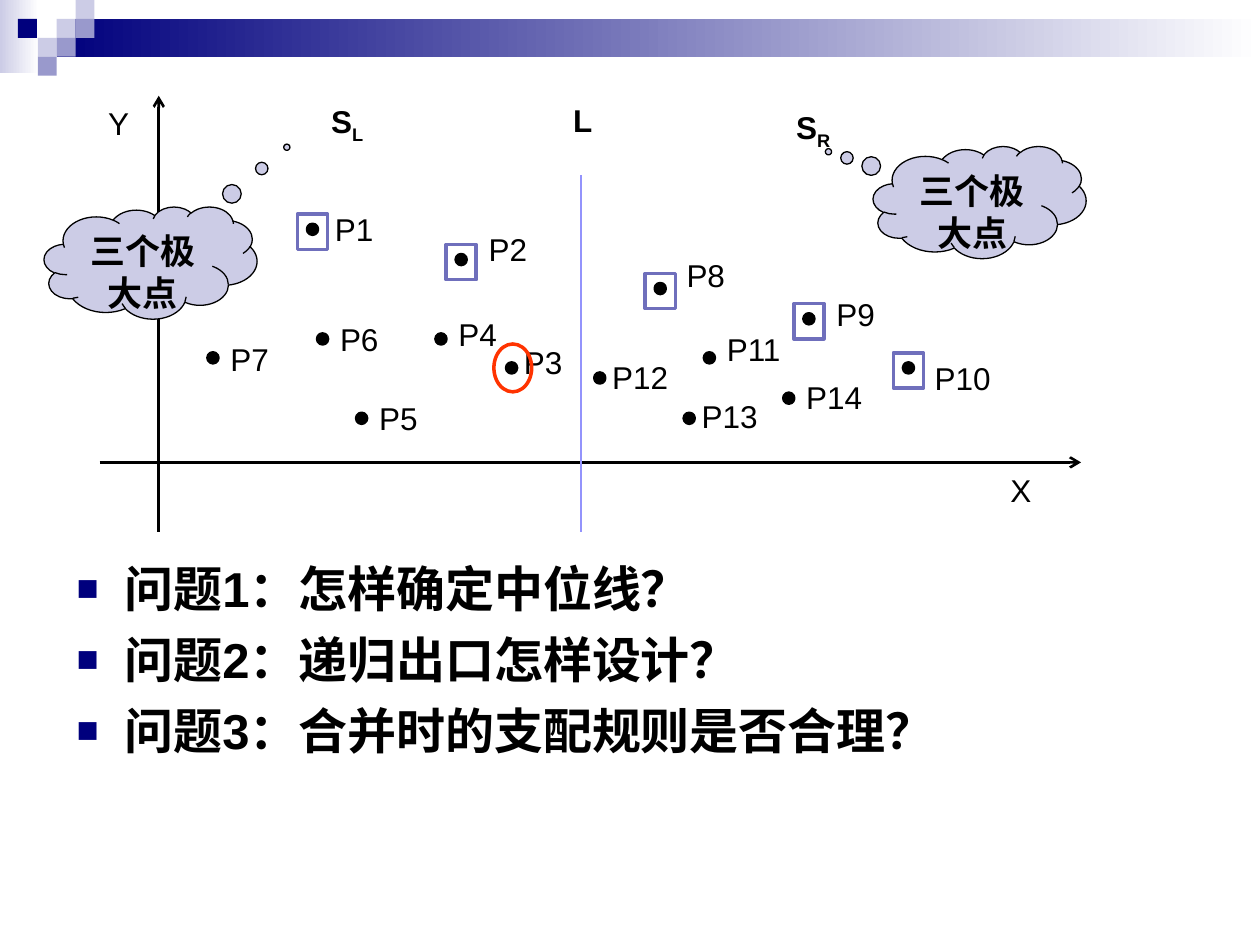
from lxml.etree import SubElement
from pptx import Presentation
from pptx.dml.color import RGBColor
from pptx.enum.shapes import MSO_CONNECTOR, MSO_SHAPE
from pptx.enum.text import MSO_ANCHOR, PP_ALIGN
from pptx.oxml.ns import qn
from pptx.util import Inches, Pt

BLACK = RGBColor(0x00, 0x00, 0x00)
WHITE = RGBColor(0xFF, 0xFF, 0xFF)
NAVY = RGBColor(0x00, 0x00, 0x7D)
LAVENDER = RGBColor(0xCC, 0xCC, 0xE6)
PERIWINKLE = RGBColor(0x99, 0x99, 0xCC)
FRAME_BLUE = RGBColor(0x6F, 0x6F, 0xBC)
MEDIAN_BLUE = RGBColor(0x93, 0x93, 0xFC)
RED = RGBColor(0xFF, 0x33, 0x00)

FONT = "Arial"
DOT = 0.08

# name, dot position, label position (inches from the plot's corner)
POINTS = [
    ("P1", (1.65, 1.02), (1.77, 0.86)),
    ("P2", (2.83, 1.26), (2.99, 1.02)),
    ("P3", (3.23, 2.12), (3.27, 1.91)),
    ("P4", (2.67, 1.89), (2.75, 1.69)),
    ("P5", (2.04, 2.52), (2.12, 2.36)),
    ("P6", (1.73, 1.89), (1.81, 1.73)),
    ("P7", (0.86, 2.04), (0.94, 1.89)),
    ("P8", (4.41, 1.49), (4.56, 1.22)),
    ("P9", (5.59, 1.73), (5.75, 1.53)),
    ("P10", (6.38, 2.12), (6.53, 2.04)),
    ("P11", (4.80, 2.04), (4.88, 1.81)),
    ("P12", (3.93, 2.20), (3.97, 2.03)),
    ("P13", (4.64, 2.52), (4.68, 2.34)),
    ("P14", (5.43, 2.36), (5.51, 2.19)),
]
MAXIMAL = {"P1", "P2", "P8", "P9", "P10"}

QUESTIONS = [
    "问题1：怎样确定中位线？",
    "问题2：递归出口怎样设计？",
    "问题3：合并时的支配规则是否合理？",
]


def add_shape(slide, kind, left, top, width, height, fill=None, line=None, weight=2):
    shape = slide.shapes.add_shape(
        kind, Inches(left), Inches(top), Inches(width), Inches(height))
    shape.shadow.inherit = False
    if fill is None:
        shape.fill.background()
    else:
        shape.fill.solid()
        shape.fill.fore_color.rgb = fill
    if line is None:
        shape.line.fill.background()
    else:
        shape.line.color.rgb = line
        shape.line.width = Pt(weight)
    return shape


def add_line(slide, start, end, color, arrow=False):
    line = slide.shapes.add_connector(
        MSO_CONNECTOR.STRAIGHT, *(Inches(value) for value in (*start, *end)))
    line.line.color.rgb = color
    line.line.width = Pt(1.5)
    if arrow:
        SubElement(line.line._get_or_add_ln(), qn("a:tailEnd"), type="arrow")
    SubElement(line._element.spPr, qn("a:effectLst"))


def set_font(paragraph, size, bold=False):
    font = paragraph.font
    font.name, font.size, font.bold = FONT, Pt(size), bold
    font.color.rgb = BLACK


def add_label(slide, left, top, width, text, subscript="", bold=False):
    box = slide.shapes.add_textbox(
        Inches(left), Inches(top), Inches(width), Inches(0.4))
    box.text_frame.word_wrap = True
    paragraph = box.text_frame.paragraphs[0]
    paragraph.add_run().text = text
    if subscript:
        run = paragraph.add_run()
        run.text = subscript
        run.font._element.set("baseline", "-25000")
    set_font(paragraph, 18, bold)


def add_gradient_bar(slide, left, top, width, height, start):
    bar = add_shape(slide, MSO_SHAPE.RECTANGLE, left, top, width, height, start)
    bar.fill.gradient()
    bar.fill.gradient_angle = 0
    for stop, position, color in zip(bar.fill.gradient_stops, (0, 1), (start, WHITE)):
        stop.position = position
        stop.color.rgb = color


def add_header(slide, left, top, width):
    """Fading bars with a mosaic of small squares at the left end."""
    side = 0.15
    add_gradient_bar(slide, left, top, 0.31, 0.58, LAVENDER)
    add_gradient_bar(slide, left + 0.45, top + side, width - 0.45, 0.3, NAVY)
    squares = [
        (3, 1, LAVENDER), (4, 0, LAVENDER), (4, 1, PERIWINKLE), (2, 2, LAVENDER),
        (0.95, 1, NAVY), (3, 2, PERIWINKLE), (2, 3, PERIWINKLE),
    ]
    for column, row, color in squares:
        add_shape(slide, MSO_SHAPE.RECTANGLE, left + column * side,
                  top + row * side, side, side, color)


def add_plot(slide, left, top, width, height):
    """Axes, points, frames on the maximal points, and the median line L."""
    axis_x, axis_y, median = left + 0.47, top + 2.91, left + 3.82
    bottom = top + height
    add_line(slide, (left, axis_y), (left + width, axis_y), BLACK, arrow=True)
    add_line(slide, (axis_x, bottom), (axis_x, top), BLACK, arrow=True)

    for name, (dot_x, dot_y), (label_x, label_y) in POINTS:
        add_shape(slide, MSO_SHAPE.OVAL, left + dot_x, top + dot_y,
                  DOT, DOT, BLACK, BLACK)
        if name in MAXIMAL:
            add_shape(slide, MSO_SHAPE.RECTANGLE, left + dot_x - DOT,
                      top + dot_y - DOT, 0.24, 0.28, line=FRAME_BLUE)
        add_label(slide, left + label_x, top + label_y, 0.71, name)

    add_label(slide, left + 7.13, top + 2.93, 0.55, "X")
    add_label(slide, left - 0.03, top + 0.02, 0.47, "Y")
    add_line(slide, (median, top + 0.63), (median, bottom), MEDIAN_BLUE)
    add_label(slide, left + 3.66, top - 0.01, 0.39, "L", bold=True)
    add_label(slide, left + 1.74, top, 0.55, "S", "L", bold=True)
    add_label(slide, left + 5.43, top + 0.05, 0.55, "S", "R", bold=True)


def add_questions(slide, left, top, width, height):
    box = slide.shapes.add_textbox(
        Inches(left), Inches(top), Inches(width), Inches(height))
    frame = box.text_frame
    frame.word_wrap = True
    for index, question in enumerate(QUESTIONS):
        paragraph = frame.add_paragraph() if index else frame.paragraphs[0]
        paragraph.text = question
        if index:
            paragraph.space_before = Pt(7)
        properties = paragraph._p.get_or_add_pPr()
        properties.set("marL", str(Inches(0.38)))
        properties.set("indent", str(-Inches(0.38)))
        color = SubElement(properties, qn("a:buClr"))
        SubElement(color, qn("a:srgbClr"), val=str(NAVY))
        SubElement(properties, qn("a:buSzPct"), val="75000")
        SubElement(properties, qn("a:buFont"), typeface=FONT)
        SubElement(properties, qn("a:buChar"), char="■")
        set_font(paragraph, 28, bold=True)


def add_cloud(slide, left, top, tail):
    cloud = add_shape(slide, MSO_SHAPE.CLOUD_CALLOUT, left, top, 1.69, 0.89,
                      LAVENDER, BLACK, 0.75)
    cloud.adjustments[0], cloud.adjustments[1] = tail
    frame = cloud.text_frame
    frame.word_wrap = True
    frame.vertical_anchor = MSO_ANCHOR.TOP
    paragraph = frame.paragraphs[0]
    paragraph.text = "三个极大点"
    paragraph.alignment = PP_ALIGN.CENTER
    set_font(paragraph, 20, bold=True)


def main():
    presentation = Presentation()
    presentation.slide_width, presentation.slide_height = Inches(10), Inches(7.5)
    slide = presentation.slides.add_slide(presentation.slide_layouts[6])
    add_header(slide, 0, 0, 10)
    add_plot(slide, 0.79, 0.76, 7.79, 3.46)
    add_questions(slide, 0.51, 4.38, 9, 1.97)
    add_shape(slide, MSO_SHAPE.OVAL, 3.92, 2.73, 0.3, 0.38, line=RED)
    add_cloud(slide, 0.35, 1.64, (0.64, -1.03))
    add_cloud(slide, 6.93, 1.16, (-0.71, -0.45))
    presentation.save("out.pptx")


if __name__ == "__main__":
    main()
